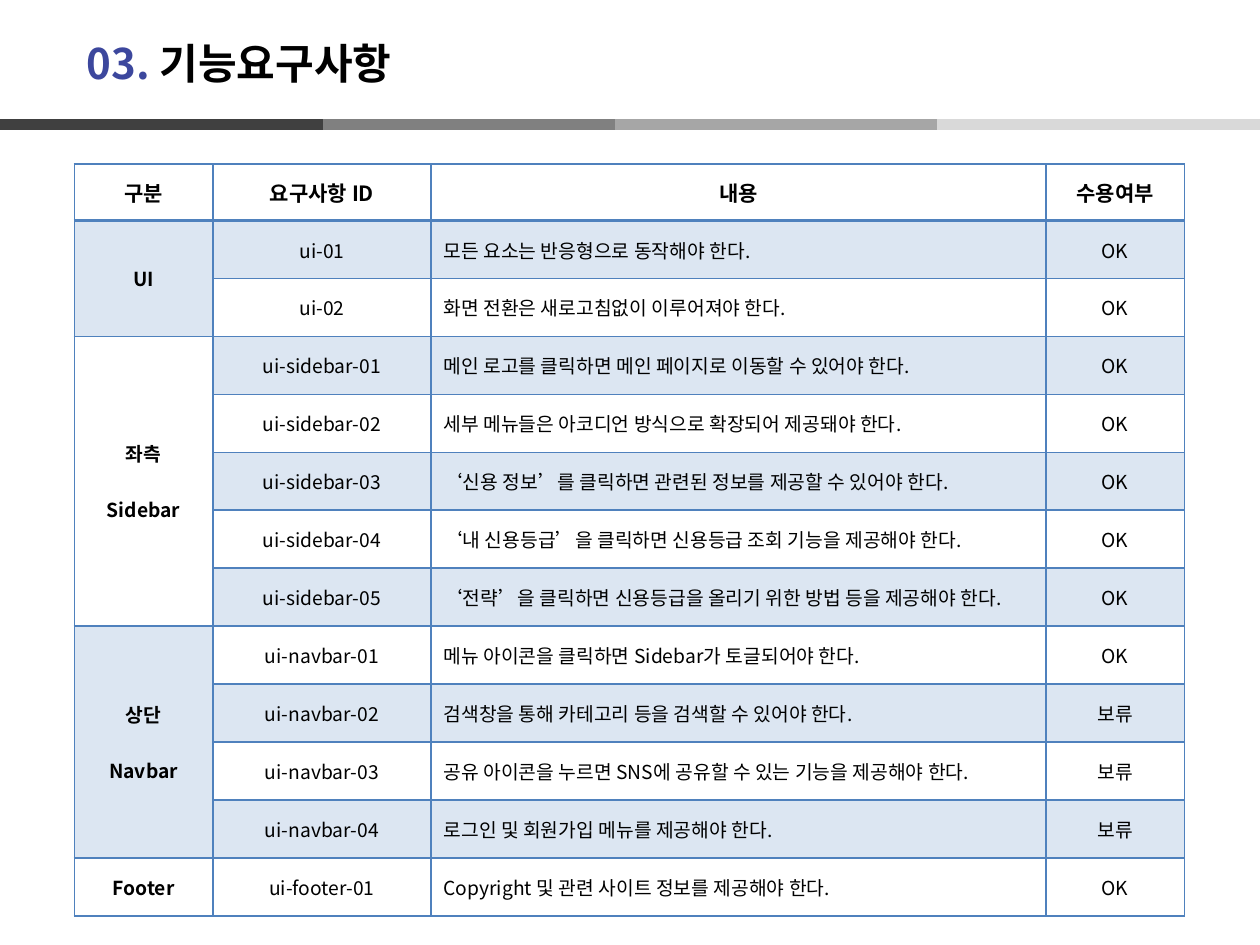
from dataclasses import dataclass
from itertools import pairwise

import lxml.etree
import pptx
import pptx.dml.color
import pptx.enum.shapes
import pptx.enum.text
import pptx.oxml.ns
import pptx.util

Inches = pptx.util.Inches
Pt = pptx.util.Pt
Align = pptx.enum.text.PP_ALIGN
Middle = pptx.enum.text.MSO_ANCHOR.MIDDLE
qn = pptx.oxml.ns.qn


@dataclass(frozen=True)
class Theme:
    """Colours, typeface and type sizes of the slide."""
    typeface: str = "Noto Sans CJK KR"
    text: str = "000000"
    number: str = "3C479D"
    border: str = "4F81BD"
    band: str = "DCE6F2"
    plain: str = "FFFFFF"
    rule: tuple = ("404040", "808080", "A6A6A6", "D9D9D9")
    title_size: int = 24
    header_size: int = 12
    body_size: int = 11
    label_gap: int = 16


THEME = Theme()
HEADINGS = ("구분", "요구사항 ID", "내용", "수용여부")
COLUMN_WIDTHS = (1.1, 1.73, 4.88, 1.1)
HEADER_HEIGHT, ROW_HEIGHT = 0.45, 0.46
REQUIREMENTS = (
    (("UI",), "ui", (
        ("모든 요소는 반응형으로 동작해야 한다.", "OK"),
        ("화면 전환은 새로고침없이 이루어져야 한다.", "OK"),
    )),
    (("좌측", "Sidebar"), "ui-sidebar", (
        ("메인 로고를 클릭하면 메인 페이지로 이동할 수 있어야 한다.", "OK"),
        ("세부 메뉴들은 아코디언 방식으로 확장되어 제공돼야 한다.", "OK"),
        ("‘신용 정보’를 클릭하면 관련된 정보를 제공할 수 있어야 한다.", "OK"),
        ("‘내 신용등급’을 클릭하면 신용등급 조회 기능을 제공해야 한다.", "OK"),
        ("‘전략’을 클릭하면 신용등급을 올리기 위한 방법 등을 제공해야 한다.", "OK"),
    )),
    (("상단", "Navbar"), "ui-navbar", (
        ("메뉴 아이콘을 클릭하면 Sidebar가 토글되어야 한다.", "OK"),
        ("검색창을 통해 카테고리 등을 검색할 수 있어야 한다.", "보류"),
        ("공유 아이콘을 누르면 SNS에 공유할 수 있는 기능을 제공해야 한다.", "보류"),
        ("로그인 및 회원가입 메뉴를 제공해야 한다.", "보류"),
    )),
    (("Footer",), "ui-footer", (
        ("Copyright 및 관련 사이트 정보를 제공해야 한다.", "OK"),
    )),
)


def rgb(value):
    """Return a colour object for a hex value."""
    return pptx.dml.color.RGBColor.from_string(value)


def style_paragraph(paragraph, size, bold, align):
    """Set the type of a paragraph for Latin and Korean text."""
    paragraph.alignment = align
    font = paragraph.font
    font.name, font.size, font.bold = THEME.typeface, Pt(size), bold
    font.color.rgb = rgb(THEME.text)
    properties = paragraph._p.pPr.find(qn("a:defRPr"))
    lxml.etree.SubElement(properties, qn("a:ea"), typeface=THEME.typeface)


def add_title(slide, left, top, width, height):
    """Place the section number and heading in the title placeholder."""
    title = slide.shapes.title
    title.left, title.top, title.width, title.height = left, top, width, height
    frame = title.text_frame
    frame.vertical_anchor = Middle
    heading = frame.paragraphs[0]
    style_paragraph(heading, THEME.title_size, True, Align.LEFT)
    for words, color in (("03. ", THEME.number), ("기능요구사항", THEME.text)):
        run = heading.add_run()
        run.text = words
        run.font.color.rgb = rgb(color)


def add_rule(slide, left, top, stops):
    """Draw the segmented grey rule below the title."""
    for (start, end), color in zip(pairwise(stops), THEME.rule):
        segment = slide.shapes.add_connector(
            pptx.enum.shapes.MSO_CONNECTOR.STRAIGHT,
            left + Inches(start), top, left + Inches(end), top)
        segment.line.color.rgb = rgb(color)
        segment.line.width = Pt(6)
        lxml.etree.SubElement(segment._element.spPr, qn("a:effectLst"))


def set_borders(cell, top, bottom):
    """Outline a cell, with the top and bottom widths given in points."""
    properties = cell._tc.get_or_add_tcPr()
    for side, width in (("L", 1), ("R", 1), ("T", top), ("B", bottom)):
        line = lxml.etree.SubElement(
            properties, qn(f"a:ln{side}"), w=str(Pt(width)))
        fill = lxml.etree.SubElement(line, qn("a:solidFill"))
        lxml.etree.SubElement(fill, qn("a:srgbClr"), val=THEME.border)


def fill_cell(cell, lines, banded=False, size=THEME.body_size, bold=False,
              align=Align.CENTER):
    """Write the lines of one cell and set its fill."""
    cell.vertical_anchor = Middle
    cell.fill.solid()
    cell.fill.fore_color.rgb = rgb(THEME.band if banded else THEME.plain)
    cell.text = "\n".join(lines)
    for index, paragraph in enumerate(cell.text_frame.paragraphs):
        if index:
            paragraph.space_before = Pt(THEME.label_gap)
        style_paragraph(paragraph, size, bold, align)


def add_requirements(slide, left, top, width, height):
    """Build the requirements table with one merged label per group."""
    row_count = 1 + sum(len(items) for _, _, items in REQUIREMENTS)
    table = slide.shapes.add_table(
        row_count, len(HEADINGS), left, top, width, height).table
    table.first_row = table.horz_banding = False
    for column, column_width in zip(table.columns, COLUMN_WIDTHS):
        column.width = Inches(column_width)
    for index, row in enumerate(table.rows):
        row.height = Inches(ROW_HEIGHT if index else HEADER_HEIGHT)
        for cell in row.cells:
            set_borders(cell, 2 if index == 1 else 1, 1 if index else 2)

    for column, heading in enumerate(HEADINGS):
        fill_cell(table.cell(0, column), (heading,),
                  size=THEME.header_size, bold=True)

    row = 1
    for group, (label, prefix, items) in enumerate(REQUIREMENTS):
        label_cell = table.cell(row, 0)
        if len(items) > 1:
            label_cell.merge(table.cell(row + len(items) - 1, 0))
        fill_cell(label_cell, label, group % 2 == 0, bold=True)
        for number, (content, status) in enumerate(items, 1):
            banded = row % 2 == 1
            fill_cell(table.cell(row, 1), (f"{prefix}-{number:02}",), banded)
            fill_cell(table.cell(row, 2), (content,), banded, align=Align.LEFT)
            fill_cell(table.cell(row, 3), (status,), banded)
            row += 1


def main():
    """Build and save the functional requirements slide."""
    presentation = pptx.Presentation()
    presentation.slide_width = Inches(10)
    presentation.slide_height = Inches(7.5)
    slide = presentation.slides.add_slide(presentation.slide_layouts[5])
    add_rule(slide, Inches(0), Inches(0.99), (0, 2.56, 4.88, 7.44, 10))
    add_title(slide, Inches(0.59), Inches(0.2), Inches(7.48), Inches(0.6))
    add_requirements(
        slide, Inches(0.59), Inches(1.3), Inches(8.81), Inches(5.97))
    presentation.save("out.pptx")


if __name__ == "__main__":
    main()
